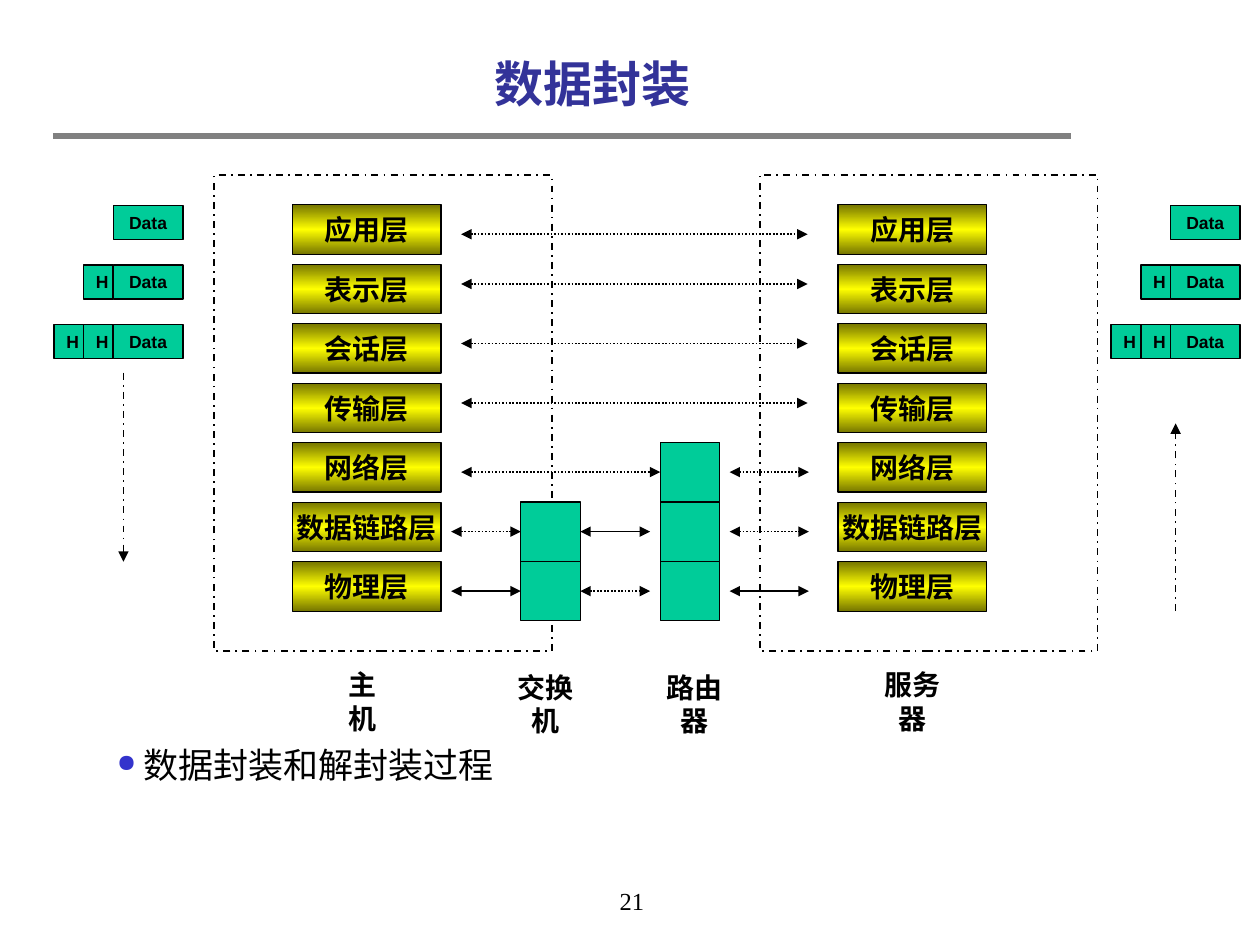
from copy import deepcopy

from lxml import etree
from pptx import Presentation
from pptx import util as u
from pptx.dml import color
from pptx.enum import dml, shapes, text
from pptx.oxml import ns

Pt = u.Pt
COLORS = {
    "ink": "000000", "title": "333399", "title shadow": "C0C0C0", "rule": "808080",
    "bullet": "3333CC", "device": "00CC99", "layer edge": "767600", "layer middle": "FFFF00",
}
RGB = {part: color.RGBColor.from_string(value) for part, value in COLORS.items()}
DOTTED, DASHED = dml.MSO_LINE.ROUND_DOT, dml.MSO_LINE.DASH_DOT

prs = Presentation()
prs.slide_width, prs.slide_height = Pt(720), Pt(540)
slide = prs.slides.add_slide(prs.slide_layouts[5])


def add_box(left, top, width, height, words="", size=16, font="Arial", bold=True,
            line=None, wrap=True, outlined=True):
    """Add a centred, unfilled rectangle, or a text box when not outlined."""
    place = Pt(left), Pt(top), Pt(width), Pt(height)
    if outlined:
        box = slide.shapes.add_shape(shapes.MSO_SHAPE.RECTANGLE, *place)
        box.shadow.inherit = False
        box.fill.background()
        box.line.color.rgb = RGB["ink"]
        box.line.width = Pt(line or 1)
        box.text_frame.vertical_anchor = text.MSO_ANCHOR.MIDDLE
    else:
        box = slide.shapes.add_textbox(*place)
    box.text_frame.word_wrap = wrap
    if words:
        paragraph = box.text_frame.paragraphs[0]
        paragraph.alignment = text.PP_ALIGN.CENTER
        run = paragraph.add_run()
        run.text = words
        run.font.size, run.font.bold, run.font.name = Pt(size), bold, font
        run.font.color.rgb = RGB["ink"]
    return box


def add_line(x1, y1, x2, y2, dash=None, ends=("headEnd", "tailEnd"), part="ink", width=1):
    """Add a straight line with triangles at the given ends."""
    link = slide.shapes.add_connector(
        shapes.MSO_CONNECTOR.STRAIGHT, Pt(x1), Pt(y1), Pt(x2), Pt(y2))
    link.line.color.rgb = RGB[part]
    link.line.width = Pt(width)
    if dash:
        link.line.dash_style = dash
    ln = link.line._get_or_add_ln()
    for end in ends:
        etree.SubElement(ln, ns.qn(f"a:{end}"), type="triangle")
    etree.SubElement(link._element.spPr, ns.qn("a:effectLst"))
    return link


# Title and rule
title = slide.shapes.title
title.left, title.top, title.width, title.height = Pt(59.76), Pt(20.16), Pt(558), Pt(54)
title.text_frame.vertical_anchor = text.MSO_ANCHOR.MIDDLE
heading = title.text_frame.paragraphs[0]
heading.alignment = text.PP_ALIGN.CENTER
run = heading.add_run()
run.text = "数据封装"
run.font.size, run.font.bold = Pt(28), True
run.font.color.rgb = RGB["title"]
effects = etree.SubElement(run.font._element, ns.qn("a:effectLst"))
shadow = etree.SubElement(effects, ns.qn("a:outerShdw"), dist="25400", dir="2700000")
etree.SubElement(shadow, ns.qn("a:srgbClr"), val=COLORS["title shadow"])
run.font.name = "Times New Roman"
add_line(30.24, 77.76, 612, 77.76, ends=(), part="rule", width=3)

# Host and server: a frame around seven layers
ROW = 34
LAYERS_TOP = 117
LAYERS = ["应用层", "表示层", "会话层", "传输层", "网络层", "数据链路层", "物理层"]
for frame_left in (122.4, 434.16):
    frame = add_box(frame_left, 100, 193, 272)
    frame.line.dash_style = DASHED
    for row, layer_name in enumerate(LAYERS):
        layer = add_box(frame_left + 44.64, LAYERS_TOP + row * ROW, 85, 28.3, layer_name,
                        font="Times New Roman", line=0.75, wrap=False)
        layer.fill.gradient()
        layer.fill.gradient_angle = 270
        stops = layer.fill.gradient_stops
        stops[0].position, stops[0].color.rgb = 0, RGB["layer edge"]
        stops[1].position, stops[1].color.rgb = 0.5, RGB["layer middle"]
        stop_list = layer._element.spPr.find(".//" + ns.qn("a:gsLst"))
        stop_list.append(deepcopy(stop_list[0]))
        layer.fill.gradient_stops[2].position = 1

# Switch and router: one cell for each layer they handle
cells = {}
for device, left, first_row in (("switch", 297.6, 5), ("router", 377.3, 4)):
    for row in range(first_row, len(LAYERS)):
        cell = add_box(left, LAYERS_TOP - 0.2 + row * ROW, ROW, ROW, line=0.75)
        cell.fill.solid()
        cell.fill.fore_color.rgb = RGB["device"]
        cells[device, row] = cell

# Data units gaining a header at each layer
HEADER_WIDTH = 17
for data_left in (64.8, 668.88):
    for row in range(3):
        top = LAYERS_TOP + 0.4 + row * ROW
        units = [(data_left, 39.6, "Data")]
        units += [(data_left - HEADER_WIDTH * n, HEADER_WIDTH, "H") for n in range(1, row + 1)]
        for left, width, words in units:
            unit = add_box(left, top, width, 19.44, words, size=10)
            unit.text_frame.auto_size = text.MSO_AUTO_SIZE.SHAPE_TO_FIT_TEXT
            unit.fill.solid()
            unit.fill.fore_color.rgb = RGB["device"]

# Direction of encapsulation and decapsulation
add_line(70.56, 213, 70.56, 321, DASHED, ends=("tailEnd",))
add_line(671.8, 349.2, 671.8, 242, DASHED, ends=("tailEnd",))

# Peer links between the upper layers
for y in (133.9, 162.3, 162.3 + ROW, 162.3 + 2 * ROW):
    add_line(263.5, y, 461.5, y, DOTTED)

# Links through switch and router: row, start x, end x, dash, joined cells
HOPS = [
    (4, 263.5, 377.3, DOTTED, None, "router"),
    (4, 416.9, 462.2, DOTTED, None, None),
    (5, 257.8, 297.6, DOTTED, None, "switch"),
    (5, 331.6, 371.5, None, "switch", None),
    (5, 416.9, 462.2, DOTTED, None, None),
    (6, 257.8, 297.6, None, None, "switch"),
    (6, 331.6, 371.5, DOTTED, "switch", None),
    (6, 416.9, 462.2, None, None, None),
]
for row, start, end, dash, from_device, to_device in HOPS:
    y = LAYERS_TOP - 0.2 + (row + 0.5) * ROW
    hop = add_line(start, y, end, y, dash)
    if from_device:
        hop.begin_connect(cells[from_device, row], 3)
    if to_device:
        hop.end_connect(cells[to_device, row], 1)

# Names of the machines
for left, top, width, machine in (
    (184.3, 378, 46, "主机"), (280.8, 379.5, 62, "交换机"),
    (365.8, 379.5, 62, "路由器"), (490.3, 378, 62, "服务器"),
):
    add_box(left, top, width, 26.64, machine, wrap=False, outlined=False)

# Bulleted remark
remark = add_box(59.76, 411.84, 581.76, 41, outlined=False)
paragraph = remark.text_frame.paragraphs[0]
paragraph.alignment = text.PP_ALIGN.JUSTIFY
paragraph.line_spacing = 1.4
props = paragraph._p.get_or_add_pPr()
props.set("marL", str(Pt(15)))
props.set("indent", str(Pt(-15)))
bullet_color = etree.SubElement(props, ns.qn("a:buClr"))
etree.SubElement(bullet_color, ns.qn("a:srgbClr"), val=COLORS["bullet"])
etree.SubElement(props, ns.qn("a:buSzPct"), val="70000")
etree.SubElement(props, ns.qn("a:buChar"), char="●")
run = paragraph.add_run()
run.text = "数据封装和解封装过程"
run.font.size, run.font.name = Pt(20), "Arial"
run.font.color.rgb = RGB["ink"]

# Page number
add_box(246.96, 502.56, 228.24, 37.44, "21", size=14, font="Times New Roman",
        bold=False, outlined=False)

prs.save("out.pptx")
